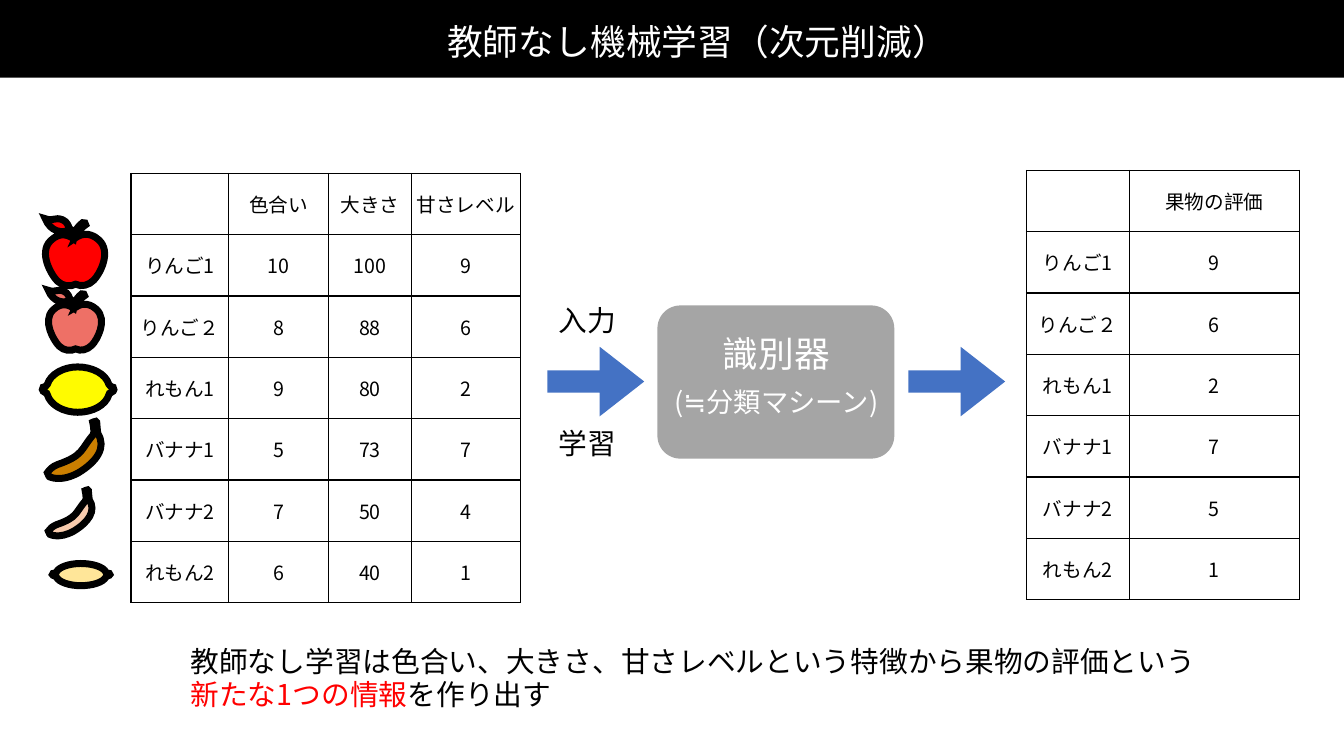
from lxml import etree
from pptx import Presentation
from pptx.dml.color import RGBColor
from pptx.enum.shapes import MSO_SHAPE as Preset
from pptx.enum.text import MSO_ANCHOR as Anchor, PP_ALIGN as Align
from pptx.oxml.ns import qn
from pptx.util import Inches, Pt

FONT = "Noto Sans CJK JP"
BLACK = RGBColor(0x00, 0x00, 0x00)
WHITE = RGBColor(0xFF, 0xFF, 0xFF)
RED = RGBColor(0xFF, 0x00, 0x00)
PINK = RGBColor(0xEE, 0x70, 0x66)
YELLOW = RGBColor(0xFF, 0xFB, 0x00)
CREAM = RGBColor(0xFF, 0xE6, 0x99)
BROWN = RGBColor(0xCB, 0x7F, 0x00)
PEACH = RGBColor(0xF8, 0xCB, 0xAD)
BLUE = RGBColor(0x44, 0x72, 0xC4)
GRAY = RGBColor(0xA5, 0xA5, 0xA5)

MARGIN = Inches(0.03)
TABLE_HEIGHT = Inches(4.26)

# Outlines: size, start point and cubic curves, in hundredths of an inch
APPLE = ((58, 66), (0, 0), [
    (5, 13, 17, 15, 24, 11), (25, 12, 27, 13, 29, 16), (29, 17, 28, 18, 28, 20),
    (24, 17, 15, 12, 5, 22), (-7, 34, 6, 56, 12, 62), (17, 67, 25, 68, 30, 65),
    (36, 68, 43, 66, 48, 61), (54, 55, 66, 33, 53, 21), (43, 12, 34, 16, 30, 19),
    (32, 14, 35, 9, 40, 6), (41, 5, 38, 3, 37, 4), (33, 7, 31, 10, 29, 14),
    (27, 12, 25, 10, 24, 10), (23, 8, 22, 3, 17, 1), (9, -2, 8, 3, 0, 0)])
LEMON = ((71, 44), (35, 0), [
    (21, 0, 8, 7, 5, 17), (5, 18, 4, 18, 3, 19), (1, 19, 0, 20, 0, 22),
    (0, 23, 1, 24, 3, 25), (4, 25, 5, 26, 5, 27), (8, 37, 21, 44, 35, 44),
    (50, 44, 63, 37, 66, 27), (66, 26, 67, 25, 68, 25), (70, 24, 71, 23, 71, 22),
    (71, 20, 70, 19, 68, 19), (67, 18, 66, 18, 66, 17), (63, 7, 50, 0, 35, 0)])
BANANA = ((53, 56), (48, 0), [
    (47, 0, 45, 1, 45, 1), (47, 10, 46, 13, 45, 14), (33, 28, 36, 34, 10, 43),
    (5, 45, 2, 48, 0, 51), (1, 54, 2, 55, 2, 55), (2, 55, 13, 61, 31, 51),
    (49, 40, 59, 26, 50, 12), (50, 12, 49, 3, 49, 1), (49, 0, 48, 0, 48, 0)])

FRUITS = [
    (APPLE, RED, 0.45, 2.17, 0.58, 0.66),
    (APPLE, PINK, 0.48, 2.88, 0.52, 0.59),
    (LEMON, YELLOW, 0.42, 3.64, 0.71, 0.45),
    (BANANA, BROWN, 0.47, 4.18, 0.53, 0.56),
    (BANANA, PEACH, 0.48, 4.86, 0.43, 0.45),
    (LEMON, CREAM, 0.52, 5.59, 0.57, 0.22),
]

FEATURES = [
    ("", "色合い", "大きさ", "甘さレベル"),
    ("りんご1", "10", "100", "9"),
    ("りんご２", "8", "88", "6"),
    ("れもん1", "9", "80", "2"),
    ("バナナ1", "5", "73", "7"),
    ("バナナ2", "7", "50", "4"),
    ("れもん2", "6", "40", "1"),
]
SCORES = ["果物の評価", "9", "6", "2", "7", "5", "1"]


def add_run(paragraph, text, size, color):
    run = paragraph.add_run()
    run.text = text
    run.font.size = Pt(size)
    run.font.color.rgb = color
    run.font.name = FONT
    east_asian = etree.SubElement(run.font._element, qn("a:ea"))
    east_asian.set("typeface", FONT)


def add_shape(slide, preset, left, top, width, height, fill, adjustments=()):
    shape = slide.shapes.add_shape(
        preset, Inches(left), Inches(top), Inches(width), Inches(height))
    shape.shadow.inherit = False
    shape.fill.solid()
    shape.fill.fore_color.rgb = fill
    shape.line.fill.background()
    for index, value in enumerate(adjustments):
        shape.adjustments[index] = value
    return shape


def write_text(shape, lines, size, align=Align.LEFT, wrap=True, line_spacing=None):
    """Each line is a list of (text, color) runs."""
    frame = shape.text_frame
    frame.word_wrap = wrap
    frame.vertical_anchor = Anchor.MIDDLE
    frame.margin_left = frame.margin_right = MARGIN
    frame.margin_top = frame.margin_bottom = MARGIN
    for index, runs in enumerate(lines):
        paragraph = frame.add_paragraph() if index else frame.paragraphs[0]
        paragraph.alignment = align
        paragraph.line_spacing = line_spacing
        for text, color in runs:
            add_run(paragraph, text, size, color)


def add_text(slide, left, top, width, height, lines, size, **layout):
    box = slide.shapes.add_textbox(
        Inches(left), Inches(top), Inches(width), Inches(height))
    write_text(box, lines, size, **layout)


def add_fruit(slide, outline, fill, left, top, width, height):
    size, start, curves = outline
    builder = slide.shapes.build_freeform(*start)
    builder.add_line_segments([curve[4:] for curve in curves])
    fruit = builder.convert_to_shape()
    fruit.left, fruit.top = Inches(left), Inches(top)
    fruit.width, fruit.height = Inches(width), Inches(height)

    # Turn the straight segments into cubic curves
    outline_path = next(fruit._element.iter(qn("a:path")))
    outline_path.set("w", str(size[0]))
    outline_path.set("h", str(size[1]))
    for child in list(outline_path):
        outline_path.remove(child)
    steps = [("a:moveTo", start)] + [("a:cubicBezTo", curve) for curve in curves]
    for tag, numbers in steps:
        step = etree.SubElement(outline_path, qn(tag))
        for x, y in zip(numbers[::2], numbers[1::2]):
            etree.SubElement(step, qn("a:pt"), x=str(x), y=str(y))
    etree.SubElement(outline_path, qn("a:close"))

    fruit.shadow.inherit = False
    fruit.fill.solid()
    fruit.fill.fore_color.rgb = fill
    fruit.line.color.rgb = BLACK
    fruit.line.width = Pt(5)
    line = fruit._element.spPr.find(qn("a:ln"))
    etree.SubElement(line, qn("a:miter"), lim="400000")


def set_borders(cell):
    properties = cell._tc.get_or_add_tcPr()
    for index, side in enumerate(("a:lnL", "a:lnR", "a:lnT", "a:lnB")):
        line = etree.Element(qn(side), w=str(Pt(1)))
        fill = etree.SubElement(line, qn("a:solidFill"))
        etree.SubElement(fill, qn("a:srgbClr"), val=str(BLACK))
        properties.insert(index, line)


def add_table(slide, left, top, widths, rows):
    table = slide.shapes.add_table(
        len(rows), len(widths), Inches(left), Inches(top),
        Inches(sum(widths)), TABLE_HEIGHT).table
    for column, width in zip(table.columns, widths):
        column.width = Inches(width)
    for row_index, values in enumerate(rows):
        table.rows[row_index].height = TABLE_HEIGHT // len(rows)
        for column_index, value in enumerate(values):
            cell = table.cell(row_index, column_index)
            cell.fill.background()
            cell.vertical_anchor = Anchor.MIDDLE
            cell.margin_left = cell.margin_right = MARGIN
            cell.margin_top = cell.margin_bottom = MARGIN
            set_borders(cell)
            if value:
                paragraph = cell.text_frame.paragraphs[0]
                paragraph.alignment = Align.CENTER
                add_run(paragraph, value, 14, BLACK)


def add_arrow(slide, left):
    add_shape(slide, Preset.RIGHT_ARROW, left, 3.44, 0.96, 0.69, BLUE, (0.32, 0.64))


def main():
    presentation = Presentation()
    presentation.slide_width = Inches(13.33)
    presentation.slide_height = Inches(7.5)
    slide = presentation.slides.add_slide(presentation.slide_layouts[6])

    # Title bar
    add_shape(slide, Preset.RECTANGLE, -0.16, 0, 13.5, 0.77, BLACK)

    # Input features with their fruits
    add_table(slide, 1.3, 1.72, (0.97, 0.99, 0.82, 1.08), FEATURES)
    for fruit in FRUITS:
        add_fruit(slide, *fruit)

    # Classifier between two arrows
    add_arrow(slide, 5.43)
    add_shape(slide, Preset.ROUNDED_RECTANGLE, 6.52, 3.03, 2.35, 1.52, GRAY, (0.15,))
    add_text(slide, 6.08, 3.26, 3.24, 0.49,
             [[("識別器", WHITE)]], 25.5, align=Align.CENTER)
    add_text(slide, 6.08, 3.79, 3.24, 0.38,
             [[("(≒分類マシーン)", WHITE)]], 19.5, align=Align.CENTER)
    for label, top in (("学習", 4.2), ("入力", 2.98)):
        add_text(slide, 5.51, top, 0.63, 0.4, [[(label, BLACK)]], 20.5, wrap=False)
    add_arrow(slide, 9.01)

    # Output scores
    scores = [(row[0], score) for row, score in zip(FEATURES, SCORES)]
    add_table(slide, 10.18, 1.69, (1.02, 1.69), scores)

    # Title
    title = add_shape(slide, Preset.RECTANGLE, 4.32, 0.16, 5.2, 0.49, BLACK)
    write_text(title, [[("教師なし機械学習（次元削減）", WHITE)]], 25.5, align=Align.CENTER)

    # Conclusion
    add_text(slide, 1.86, 6.35, 10.12, 0.75, [
        [("教師なし学習は色合い、大きさ、甘さレベルという特徴から果物の評価という", BLACK)],
        [("新たな1つの情報", RED), ("を作り出す", BLACK)],
    ], 20.5, wrap=False, line_spacing=Pt(24))

    presentation.save("out.pptx")


if __name__ == "__main__":
    main()
